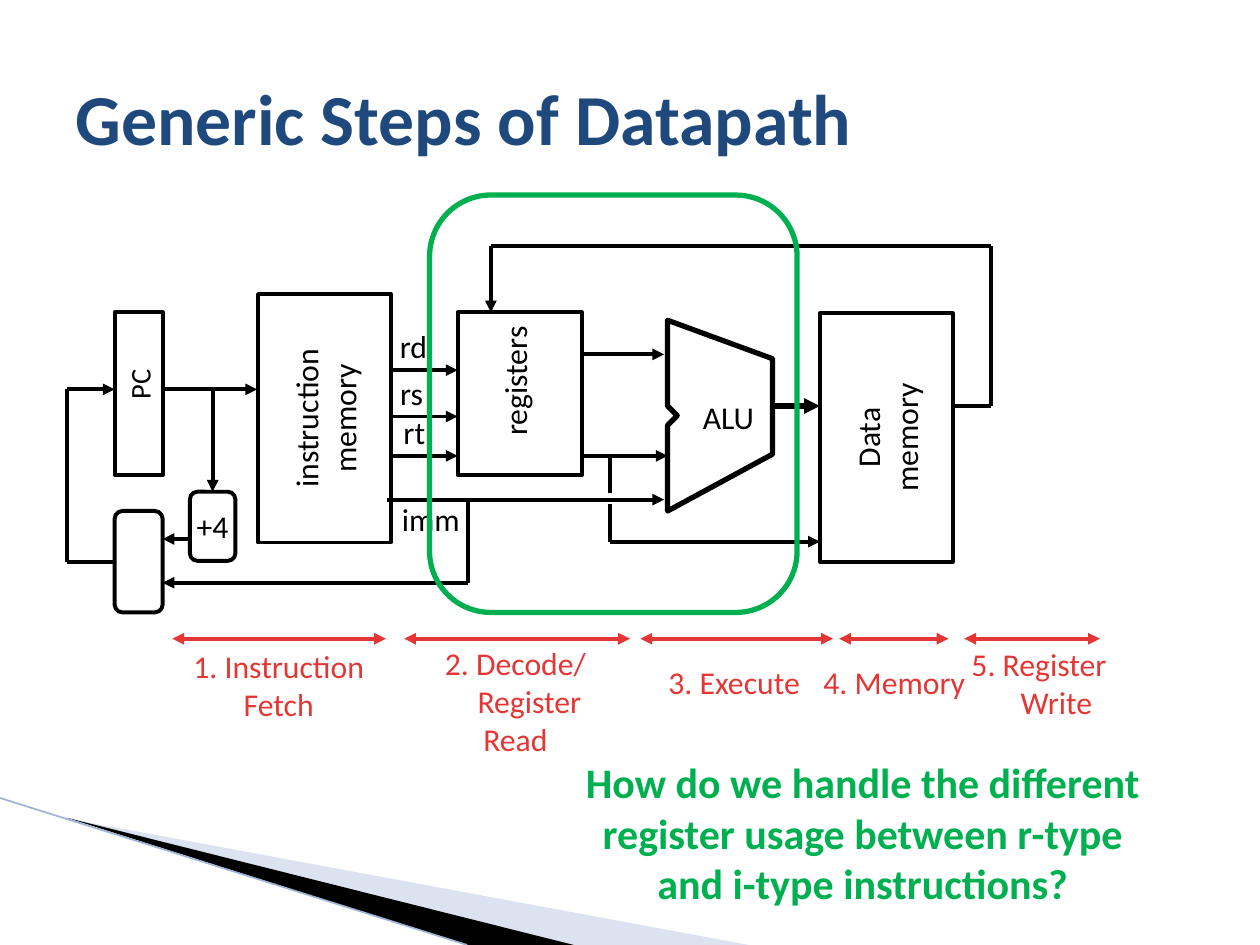
from lxml import etree
from pptx import Presentation
from pptx import util as u
from pptx.dml import color
from pptx.enum import shapes, text
from pptx.oxml import ns

BLACK, RED, GREEN, NAVY, WHITE = "000000", "E43634", "00B050", "1F497D", "FFFFFF"
RECT = shapes.MSO_SHAPE.RECTANGLE
ROUND = shapes.MSO_SHAPE.ROUNDED_RECTANGLE
CENTER, LEFT = text.PP_ALIGN.CENTER, text.PP_ALIGN.LEFT


def rgb(hex_value):
    return color.RGBColor.from_string(hex_value)


def apply(target, values):
    for name, value in values.items():
        setattr(target, name, value)


def place(*lengths):
    return [u.Pt(length) for length in lengths]


def paint(shape, fill=None, line=None, width=2.25):
    shape.shadow.inherit = False
    if fill:
        shape.fill.solid()
        shape.fill.fore_color.rgb = rgb(fill)
    else:
        shape.fill.background()
    if line:
        shape.line.color.rgb = rgb(line)
        shape.line.width = u.Pt(width)
    else:
        shape.line.fill.background()


def write(shape, lines, size=18.1, ink=BLACK, bold=False, align=CENTER,
          inset=3.6, wrap=False, indents=()):
    frame = shape.text_frame
    apply(frame, {"word_wrap": wrap, "auto_size": text.MSO_AUTO_SIZE.NONE,
                  "vertical_anchor": text.MSO_ANCHOR.MIDDLE,
                  "margin_left": u.Pt(inset), "margin_right": u.Pt(inset),
                  "margin_top": u.Pt(3.6), "margin_bottom": u.Pt(3.6)})
    for index, content in enumerate(lines):
        paragraph = frame.paragraphs[0] if index == 0 else frame.add_paragraph()
        paragraph.alignment = align
        if indents:
            paragraph._p.get_or_add_pPr().set("marL", str(u.Pt(indents[index])))
        run = paragraph.add_run()
        run.text = content
        apply(run.font, {"name": "Calibri", "size": u.Pt(size), "bold": bold})
        run.font.color.rgb = rgb(ink)


def add_label(slide, box, lines, rotation=0, **style):
    label = slide.shapes.add_textbox(*place(*box))
    label.rotation = rotation
    write(label, lines, **style)


def add_block(slide, kind, box, lines=(), rotation=0, fill=WHITE, ink=BLACK, width=2.25):
    block = slide.shapes.add_shape(kind, *place(*box))
    block.rotation = rotation
    paint(block, fill, ink, width)
    if lines:
        write(block, lines)
    return block


def add_outline(slide, points, **look):
    pen = slide.shapes.build_freeform(*place(*points[0]))
    pen.add_line_segments([place(*point) for point in points[1:]], close=True)
    outline = pen.convert_to_shape()
    paint(outline, **look)
    return outline


def add_line(slide, start, end, ink=BLACK, width=2.25, arrows=()):
    line = slide.shapes.add_connector(shapes.MSO_CONNECTOR.STRAIGHT, *place(*start, *end))
    line.line.color.rgb = rgb(ink)
    line.line.width = u.Pt(width)
    stroke = line.line._get_or_add_ln()
    for arrow in arrows:
        etree.SubElement(stroke, ns.qn("a:" + arrow), type="triangle")
    etree.SubElement(line._element.spPr, ns.qn("a:effectLst"))
    return line


def add_wire(slide, points, arrow=True, width=2.25):
    last = len(points) - 2
    return [add_line(slide, start, end, width=width,
                     arrows=("tailEnd",) if arrow and index == last else ())
            for index, (start, end) in enumerate(zip(points, points[1:]))]


def add_corner(slide):
    pale = add_outline(slide, [(39.6, 468), (428, 540), (328, 540)], fill="A7B9DB")
    tint = pale._element.spPr.find(".//" + ns.qn("a:srgbClr"))
    etree.SubElement(tint, ns.qn("a:alpha"), val="40000")
    add_outline(slide, [(38.2, 467.3), (328, 540), (267, 540)], fill=BLACK)
    add_line(slide, (0, 456), (267, 540), "9EB3D6", 0.95)


def add_datapath(slide):
    add_block(slide, RECT, (65.5, 178.5, 27.5, 93), fill=None)
    add_block(slide, RECT, (114.5, 201, 142, 76), ["instruction", "memory"], 270)
    plus_four = add_block(slide, ROUND, (108.5, 281, 26, 39.5), ["+4"])
    add_block(slide, RECT, (261.5, 178.5, 71, 93))
    add_outline(slide, [(381.5, 183), (441.5, 205), (441.5, 259.5), (381.5, 292),
                        (381.5, 243), (387, 237.5), (381.5, 232)], line=BLACK, width=3)
    add_block(slide, RECT, (435.5, 212, 142, 76), ["Data", "memory"], 270)
    next_pc = add_block(slide, ROUND, (65.5, 292, 27.5, 58))

    wires = [
        [(93, 222.5), (147, 222.5)],
        [(332.5, 260.5), (381.5, 260.5)],
        [(221, 285.5), (379.5, 285.5)],
        [(332.5, 202.5), (379.5, 202.5)],
        [(348.5, 288), (348.5, 309.5), (468.5, 309.5)],
        [(545, 232), (566.5, 232), (566.5, 140.5), (280.5, 140.5), (280.5, 178.5)],
        [(108.5, 308), (93, 308)],
        [(267.5, 285.5), (267.5, 333), (93, 333)],
    ]
    wires += [[(223, y), (261.5, y)] for y in (211.5, 238, 260.5)]
    for wire in wires:
        add_wire(slide, wire)
    add_wire(slide, [(348.5, 260.5), (348.5, 282)], arrow=False)
    add_wire(slide, [(441.5, 232), (468.5, 232)], width=3)
    add_wire(slide, [(121.5, 222.5), (121.5, 281)])[-1].end_connect(plus_four, 0)
    loop = [(65.5, 321), (38.5, 321), (38.5, 222.5), (65.5, 222.5)]
    add_wire(slide, loop)[0].begin_connect(next_pc, 1)

    signals = [("rd", 220, 183, 29.5), ("rs", 220, 209.5, 27.5),
               ("rt", 222, 232, 26.5), ("imm", 221, 281.5, 47.5),
               ("ALU", 393, 223.5, 43.5)]
    for name, left, top, width in signals:
        add_label(slide, (left, top, width, 29.5), [name], indents=[3])
    add_label(slide, (255.5, 204.5, 77, 29.5), ["registers"], 270, indents=[3])
    add_label(slide, (64, 207.5, 31, 27.5), ["PC"], 270, size=16.3, indents=[3])


def add_steps(slide):
    steps = [
        ((98.5, 220.5), (101.5, 366, 112.5, 51), ["1. Instruction", "Fetch"], [3, 3]),
        ((231, 360), (245.5, 364, 95, 73), ["2. Decode/", "Register", "Read"], [3, 19, 3]),
        ((366, 476), (373, 375, 90, 29.5), ["3. Execute"], [3]),
        ((479.5, 542), (461.5, 375, 96, 29.5), ["4. Memory"], [3]),
        ((551, 628.5), (546.5, 364.5, 91.5, 51), ["5. Register", "Write"], [3, 23]),
    ]
    for (start, end), box, lines, indents in steps:
        add_label(slide, box, lines, ink=RED, indents=indents)
        add_line(slide, (start, 365), (end, 365), RED, arrows=("headEnd", "tailEnd"))


def main():
    deck = Presentation()
    apply(deck, {"slide_width": u.Pt(720), "slide_height": u.Pt(540)})
    slide = deck.slides.add_slide(deck.slide_layouts[6])
    add_corner(slide)
    add_label(slide, (36, 21.5, 648, 90), ["Generic Steps of Datapath"], size=41,
              ink=NAVY, bold=True, align=LEFT, inset=7.2, wrap=True)
    add_datapath(slide)
    add_steps(slide)
    add_block(slide, ROUND, (245.5, 111.5, 210, 238.5), fill=None, ink=GREEN, width=3)
    add_label(slide, (318, 428.5, 350, 94.5),
              ["How do we handle the different register usage between r-type "
               "and i-type instructions?"],
              size=24, ink=GREEN, bold=True, inset=7.2, wrap=True)
    deck.save("out.pptx")


if __name__ == "__main__":
    main()
